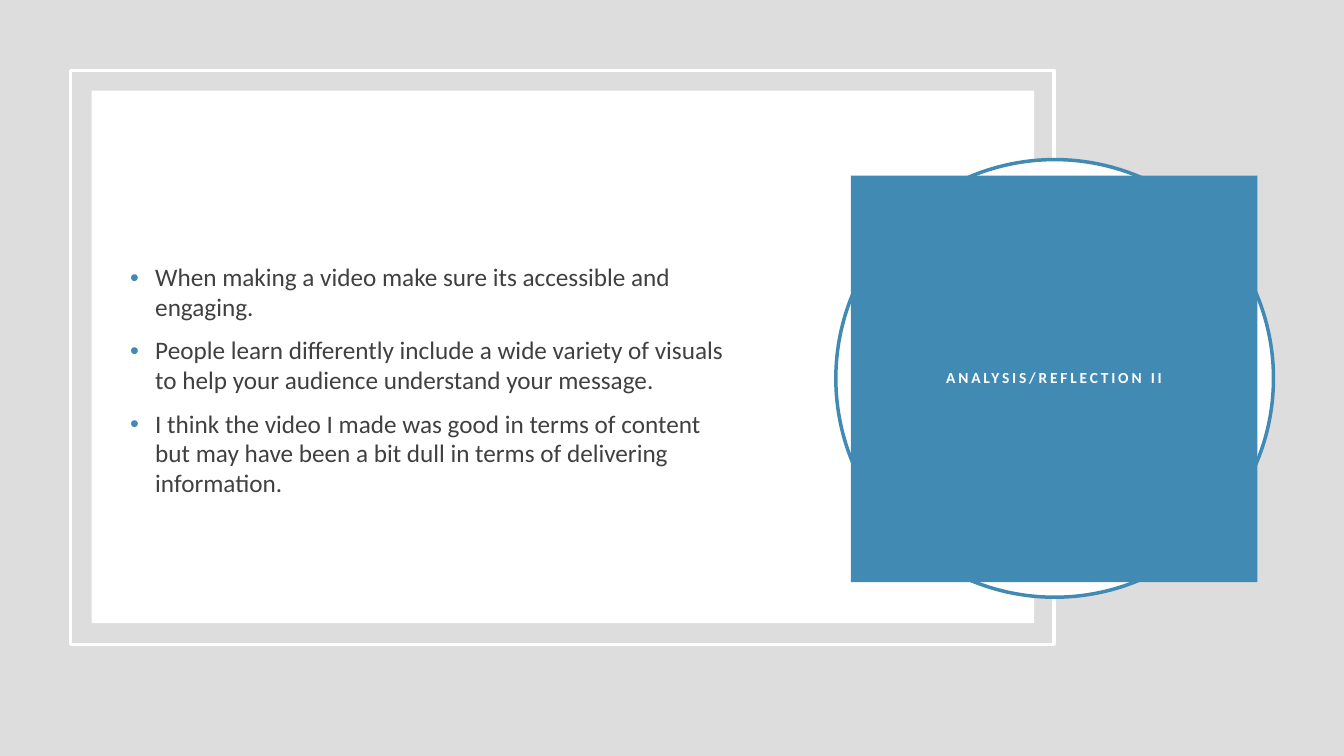
"""Build the Analysis/Reflection II slide: a framed text panel with a blue title badge."""
from dataclasses import dataclass
from typing import Optional

from lxml import etree
from pptx import Presentation
from pptx import util as u
from pptx.dml.color import RGBColor
from pptx.enum import shapes, text
from pptx.oxml import ns

GRAY = RGBColor(0xDD, 0xDD, 0xDD)
WHITE = RGBColor(0xFF, 0xFF, 0xFF)
BLUE = RGBColor(0x41, 0x8A, 0xB3)
INK = RGBColor(0x40, 0x40, 0x40)
FONT = "Calibri"
WIDTH, HEIGHT = u.Inches(13.33), u.Inches(7.5)
COLUMN, ROW = WIDTH / 16, HEIGHT / 9
RECT, OVAL = shapes.MSO_SHAPE.RECTANGLE, shapes.MSO_SHAPE.OVAL


@dataclass(frozen=True)
class Area:
    """A place on the 16 by 9 grid."""
    col: float
    row: float
    cols: float
    rows: float

    def emu(self) -> tuple[int, int, int, int]:
        """Return left, top, width and height in EMU."""
        return (round(self.col * COLUMN), round(self.row * ROW),
                round(self.cols * COLUMN), round(self.rows * ROW))


@dataclass(frozen=True)
class Panel:
    """A plain shape with an optional fill and outline."""
    area: Area
    kind: shapes.MSO_SHAPE
    fill: Optional[RGBColor] = None
    line: Optional[RGBColor] = None


FRAME = Panel(Area(0.84, 0.84, 11.71, 6.83), RECT, line=WHITE)
SHEET = Panel(Area(1.09, 1.08, 11.22, 6.34), RECT, fill=WHITE)
RING = Panel(Area(9.95, 1.9, 5.21, 5.21), OVAL, fill=WHITE, line=BLUE)
BADGE = Panel(Area(10.13, 2.09, 4.84, 4.84), RECT, fill=BLUE)
BODY = Area(1.43, 3.04, 7.5, 2.98)
POINTS = (
    "When making a video make sure its accessible and engaging.",
    "People learn differently include a wide variety of visuals to help your "
    "audience understand your message.",
    "I think the video I made was good in terms of content but may have been a "
    "bit dull in terms of delivering information.",
)


def draw_panel(s, panel: Panel):
    """Draw one panel and return its shape."""
    sp = s.shapes.add_shape(panel.kind, *panel.area.emu())
    sp.shadow.inherit = False
    if panel.fill is None:
        sp.fill.background()
    else:
        sp.fill.solid()
        sp.fill.fore_color.rgb = panel.fill
    if panel.line is None:
        sp.line.fill.background()
    else:
        sp.line.color.rgb = panel.line
        sp.line.width = u.Pt(2.5)
    return sp


def add_bullet(p, color: RGBColor) -> None:
    """Give a paragraph a hanging coloured bullet."""
    pPr = p._p.get_or_add_pPr()
    indent = u.Inches(0.25)
    pPr.set("marL", str(indent))
    pPr.set("indent", str(-indent))
    buClr = etree.SubElement(pPr, ns.qn("a:buClr"))
    etree.SubElement(buClr, ns.qn("a:srgbClr")).set("val", str(color))
    etree.SubElement(pPr, ns.qn("a:buFont")).set("typeface", "Arial")
    etree.SubElement(pPr, ns.qn("a:buChar")).set("char", "•")


def write(p, words: str, *, size: float, color: RGBColor, bold: bool = False,
          tracking: float = 0, align=text.PP_ALIGN.LEFT, leading: float = 1.0,
          before: float = 0, bullet: Optional[RGBColor] = None) -> None:
    """Fill a paragraph with formatted text."""
    if bullet is not None:
        add_bullet(p, bullet)
    p.alignment = align
    p.line_spacing = leading
    p.space_before = u.Pt(before)
    r = p.add_run()
    r.text = words
    r.font.name = FONT
    r.font.size = u.Pt(size)
    r.font.bold = bold
    r.font.color.rgb = color
    if tracking:
        r._r.get_or_add_rPr().set("spc", str(round(tracking * 100)))


def main() -> None:
    """Compose and save the slide."""
    prs = Presentation()
    prs.slide_width, prs.slide_height = WIDTH, HEIGHT
    s = prs.slides.add_slide(prs.slide_layouts[6])
    s.background.fill.solid()
    s.background.fill.fore_color.rgb = GRAY

    for panel in (FRAME, SHEET, RING):
        draw_panel(s, panel)

    tf = draw_panel(s, BADGE).text_frame
    tf.word_wrap = True
    tf.vertical_anchor = text.MSO_ANCHOR.MIDDLE
    tf.margin_left = tf.margin_right = tf.margin_top = tf.margin_bottom = u.Inches(0.2)
    write(tf.paragraphs[0], "ANALYSIS/REFLECTION II", size=11, color=WHITE, bold=True,
          tracking=2, align=text.PP_ALIGN.CENTER, leading=0.9)

    tf = s.shapes.add_textbox(*BODY.emu()).text_frame
    tf.word_wrap = True
    tf.vertical_anchor = text.MSO_ANCHOR.MIDDLE
    for i, point in enumerate(POINTS):
        p = tf.add_paragraph() if i else tf.paragraphs[0]
        write(p, point, size=18, color=INK, leading=0.98,
              before=10 if i else 0, bullet=BLUE)

    prs.save("out.pptx")


if __name__ == "__main__":
    main()
